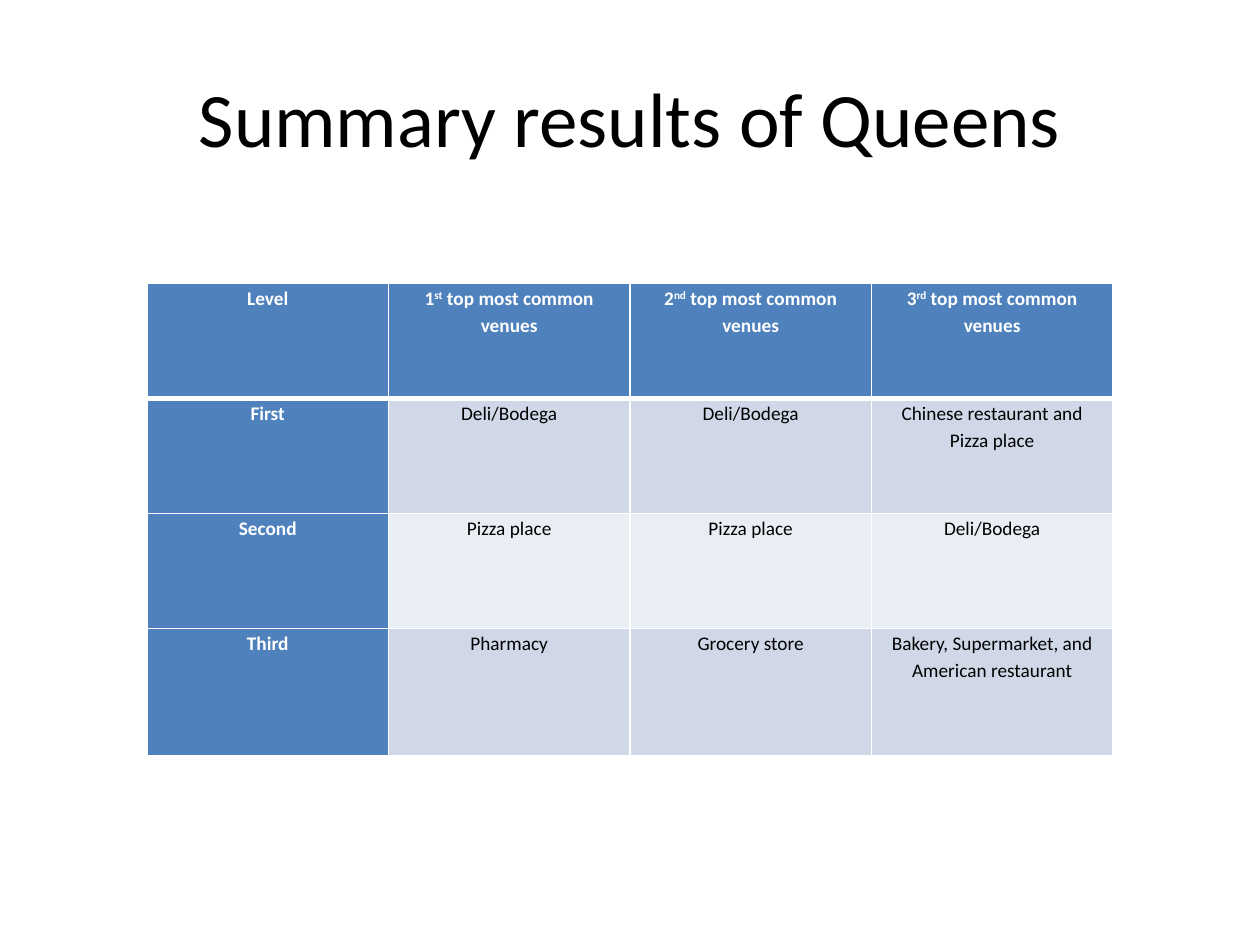
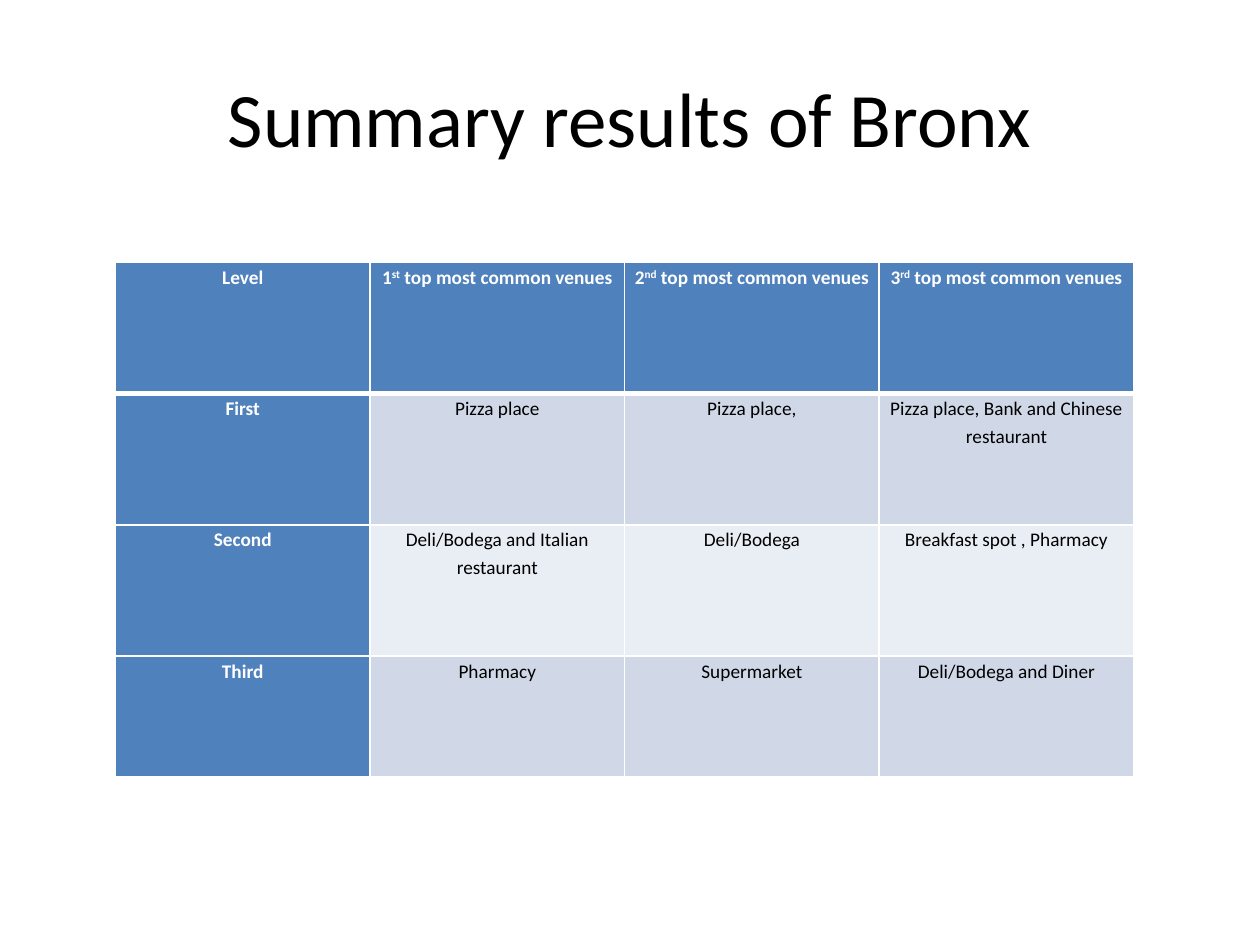
from pptx import Presentation
from pptx.dml.color import RGBColor
from pptx.enum.text import MSO_ANCHOR, PP_ALIGN
from pptx.oxml import parse_xml
from pptx.oxml.ns import nsdecls
from pptx.util import Pt

FONT = "Calibri"
BLACK = RGBColor(0x00, 0x00, 0x00)
WHITE = RGBColor(0xFF, 0xFF, 0xFF)
BLUE = RGBColor(0x4F, 0x81, 0xBD)
BANDS = [RGBColor(0xD0, 0xD8, 0xE8), RGBColor(0xE9, 0xED, 0xF4)]

# A "^" sets off the raised part of a heading.
HEADINGS = ["Level"] + [f"{rank} top most common venues"
                        for rank in ("1^st^", "2^nd^", "3^rd^")]

SLIDES = [
    dict(title="Summary results of Queens",
         left=84, top=162, col_width=138, row_heights=[65.7, 65.7, 65.7, 72.9],
         rows=[
             ["First", "Deli/Bodega", "Deli/Bodega",
              "Chinese restaurant and Pizza place"],
             ["Second", "Pizza place", "Pizza place", "Deli/Bodega"],
             ["Third", "Pharmacy", "Grocery store",
              "Bakery, Supermarket, and American restaurant"],
         ]),
    dict(title="Summary results of Bronx",
         left=66, top=150, col_width=145.5, row_heights=[75, 75, 75, 69],
         rows=[
             ["First", "Pizza place", "Pizza place,",
              "Pizza place, Bank and Chinese restaurant"],
             ["Second", "Deli/Bodega and Italian restaurant", "Deli/Bodega",
              "Breakfast spot , Pharmacy"],
             ["Third", "Pharmacy", "Supermarket", "Deli/Bodega and Diner"],
         ]),
]


def write(tf, text, size=11, color=BLACK, bold=False, spacing=None):
    """Write one centred paragraph; parts between ^ marks are superscript."""
    p = tf.paragraphs[0]
    p.alignment = PP_ALIGN.CENTER
    p.line_spacing = spacing
    for i, part in enumerate(text.split("^")):
        r = p.add_run()
        r.text = part
        r.font.name = FONT
        r.font.size = Pt(size)
        r.font.bold = bold
        r.font.color.rgb = color
        if i % 2:
            r.font._element.set("baseline", "30000")


def set_borders(cell, **widths):
    """Give the cell white solid borders, with widths in points per side."""
    tc_pr = cell._tc.get_or_add_tcPr()
    for side in "LRTB":
        tc_pr.append(parse_xml(
            f'<a:ln{side} {nsdecls("a")} w="{Pt(widths.get(side, 1))}">'
            f'<a:solidFill><a:srgbClr val="{WHITE}"/></a:solidFill>'
            f'</a:ln{side}>'))


prs = Presentation()
prs.slide_width, prs.slide_height = Pt(720), Pt(540)
title_only = prs.slide_layouts[5]

for data in SLIDES:
    s = prs.slides.add_slide(title_only)
    title = s.shapes.title
    title.left, title.top = Pt(36), Pt(21.6)
    title.width, title.height = Pt(648), Pt(90)
    title.text_frame.vertical_anchor = MSO_ANCHOR.MIDDLE
    write(title.text_frame, data["title"], size=44)

    grid = [HEADINGS] + data["rows"]
    heights = data["row_heights"]
    table = s.shapes.add_table(
        len(grid), len(HEADINGS), Pt(data["left"]), Pt(data["top"]),
        Pt(data["col_width"] * len(HEADINGS)), Pt(sum(heights))).table
    table.first_col = True
    for col in table.columns:
        col.width = Pt(data["col_width"])

    for i, (texts, height) in enumerate(zip(grid, heights)):
        table.rows[i].height = Pt(height)
        for j, text in enumerate(texts):
            cell = table.cell(i, j)
            heading = i == 0 or j == 0
            cell.margin_left = cell.margin_right = Pt(5.4)
            cell.margin_top = cell.margin_bottom = Pt(0)
            # The rule under the heading row is shared by rows 0 and 1.
            set_borders(cell, B=3 if i == 0 else 1, T=3 if i == 1 else 1)
            cell.fill.solid()
            cell.fill.fore_color.rgb = BLUE if heading else BANDS[(i - 1) % 2]
            write(cell.text_frame, text, color=WHITE if heading else BLACK,
                  bold=heading, spacing=1.15)

prs.save("out.pptx")
